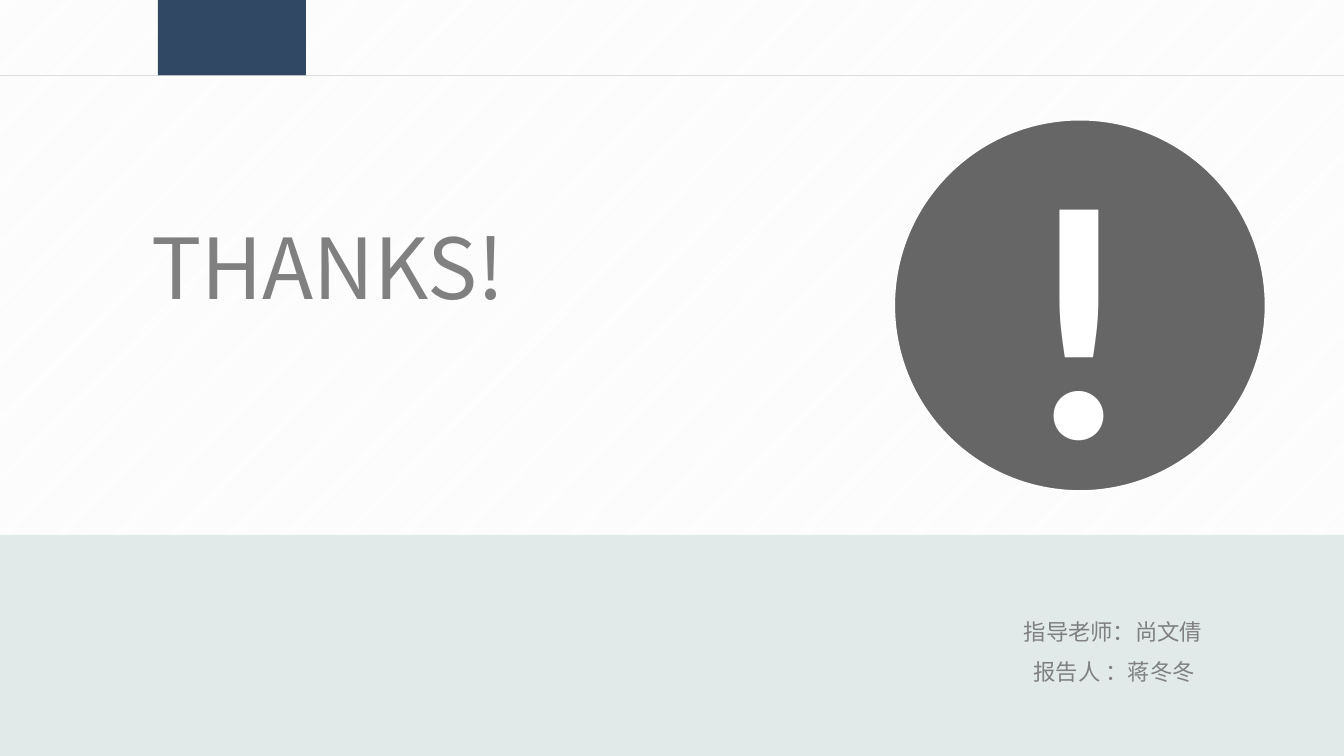
from pptx import Presentation
from pptx.dml.color import RGBColor
from pptx.enum.dml import MSO_PATTERN
from pptx.enum.shapes import MSO_CONNECTOR, MSO_SHAPE
from pptx.enum.text import MSO_ANCHOR, PP_ALIGN
from pptx.oxml.ns import qn
from pptx.util import Cm, Pt
from lxml.etree import SubElement


def rgb(value):
    return RGBColor.from_string(value)


prs = Presentation()
prs.slide_width, prs.slide_height = Cm(33.87), Cm(19.05)
s = prs.slides.add_slide(prs.slide_layouts[6])

bg = s.background.fill
bg.patterned()
bg.pattern = MSO_PATTERN.DARK_UPWARD_DIAGONAL
bg.fore_color.rgb = rgb("F2F2F2")
bg.back_color.rgb = rgb("FFFFFF")

shapes = [
    (MSO_SHAPE.RECTANGLE, (0, 13.48, 33.87, 5.57), "E2E9E9", None),
    (MSO_SHAPE.RECTANGLE, (3.98, 0, 3.73, 1.9), "314865", None),
    (MSO_SHAPE.OVAL, (22.54, 3.02, 9.35, 9.35), "666666", "FFFFFF"),
]
for kind, box, fill, line in shapes:
    sp = s.shapes.add_shape(kind, *[Cm(v) for v in box])
    sp.shadow.inherit = False
    sp.fill.solid()
    sp.fill.fore_color.rgb = rgb(fill)
    if line:
        sp.line.color.rgb = rgb(line)
        sp.line.width = Pt(1)
    else:
        sp.line.fill.background()

rule = s.shapes.add_connector(MSO_CONNECTOR.STRAIGHT, 0, Cm(1.9), Cm(33.87), Cm(1.9))
rule.line.color.rgb = rgb("BFBFBF")
rule.line.width = Pt(0.5)
color = rule.line._ln.find(".//" + qn("a:srgbClr"))
SubElement(color, qn("a:alpha")).set("val", "50000")
SubElement(rule._element.spPr, qn("a:effectLst"))

cjk = "Noto Sans CJK SC"
spaced = {"line_spacing": 1.5}
centred = {"alignment": PP_ALIGN.CENTER}
top, middle = MSO_ANCHOR.TOP, MSO_ANCHOR.MIDDLE
texts = [
    ((3.56, 4.04, 16.94, 3.66), top, [("THANKS!", 0)], spaced,
     {"name": cjk, "size": Pt(60)}, "808080"),
    ((25.55, 15.11, 7.29, 2.31), top, [("指导老师：尚文倩", 0), ("报告人 ：蒋冬冬", 0.25)], spaced,
     {"name": cjk, "size": Pt(16)}, "808080"),
    ((25.22, 2.46, 3.96, 10.46), middle, [("!", 0)], centred,
     {"name": "Calibri", "size": Pt(239), "bold": True}, "FFFFFF"),
]
for box, anchor, lines, para, font, color in texts:
    tf = s.shapes.add_textbox(*[Cm(v) for v in box]).text_frame
    tf.word_wrap = True
    tf.vertical_anchor = anchor
    for i, (text, indent) in enumerate(lines):
        p = tf.add_paragraph() if i else tf.paragraphs[0]
        for key, value in para.items():
            setattr(p, key, value)
        if indent:
            p._p.get_or_add_pPr().set("marL", str(Cm(indent)))
        r = p.add_run()
        r.text = text
        for key, value in font.items():
            setattr(r.font, key, value)
        r.font.color.rgb = rgb(color)
        SubElement(r._r.get_or_add_rPr(), qn("a:ea")).set("typeface", font["name"])

prs.save("out.pptx")
